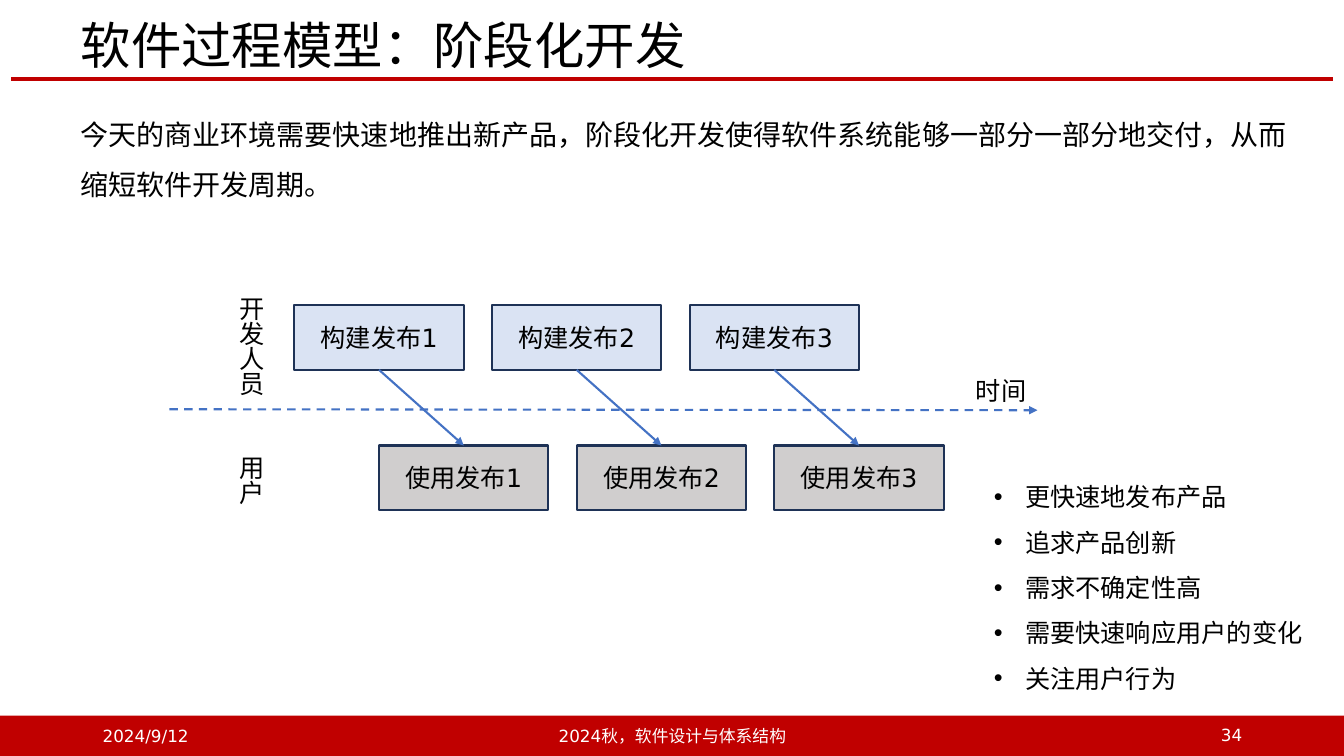
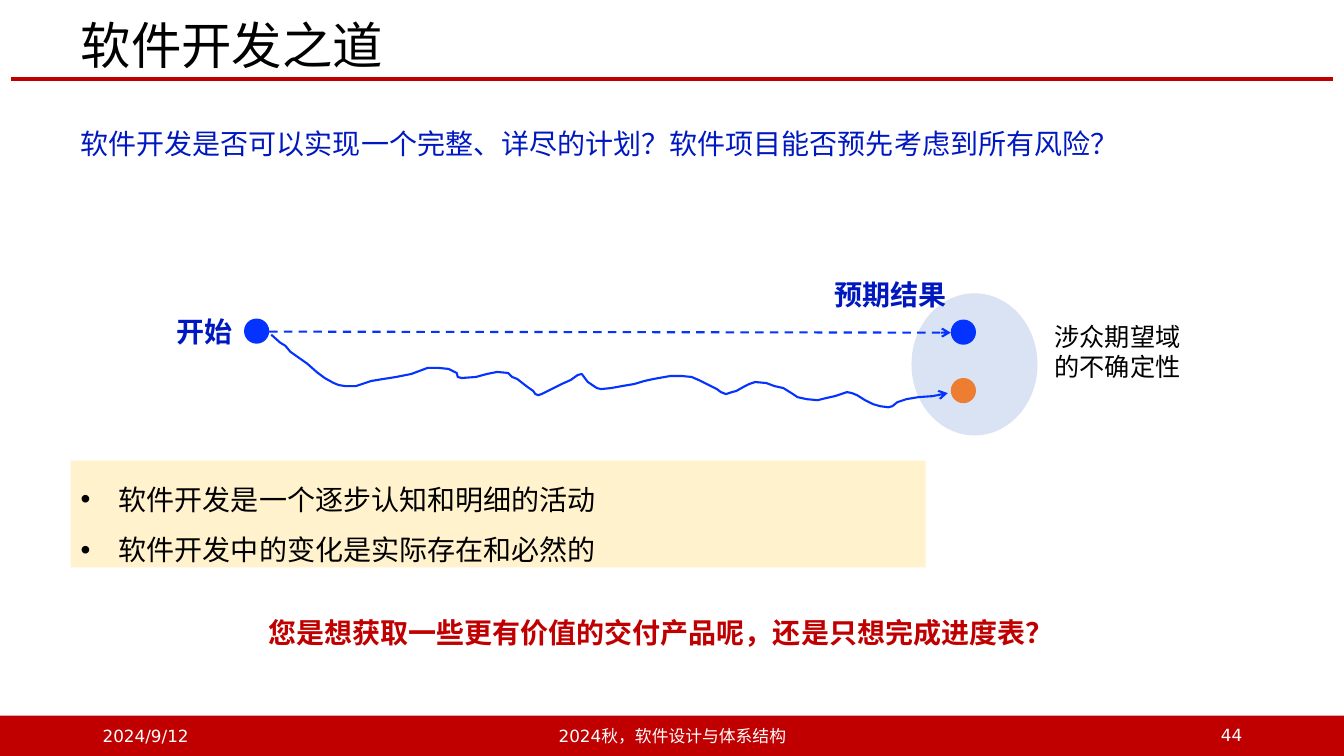
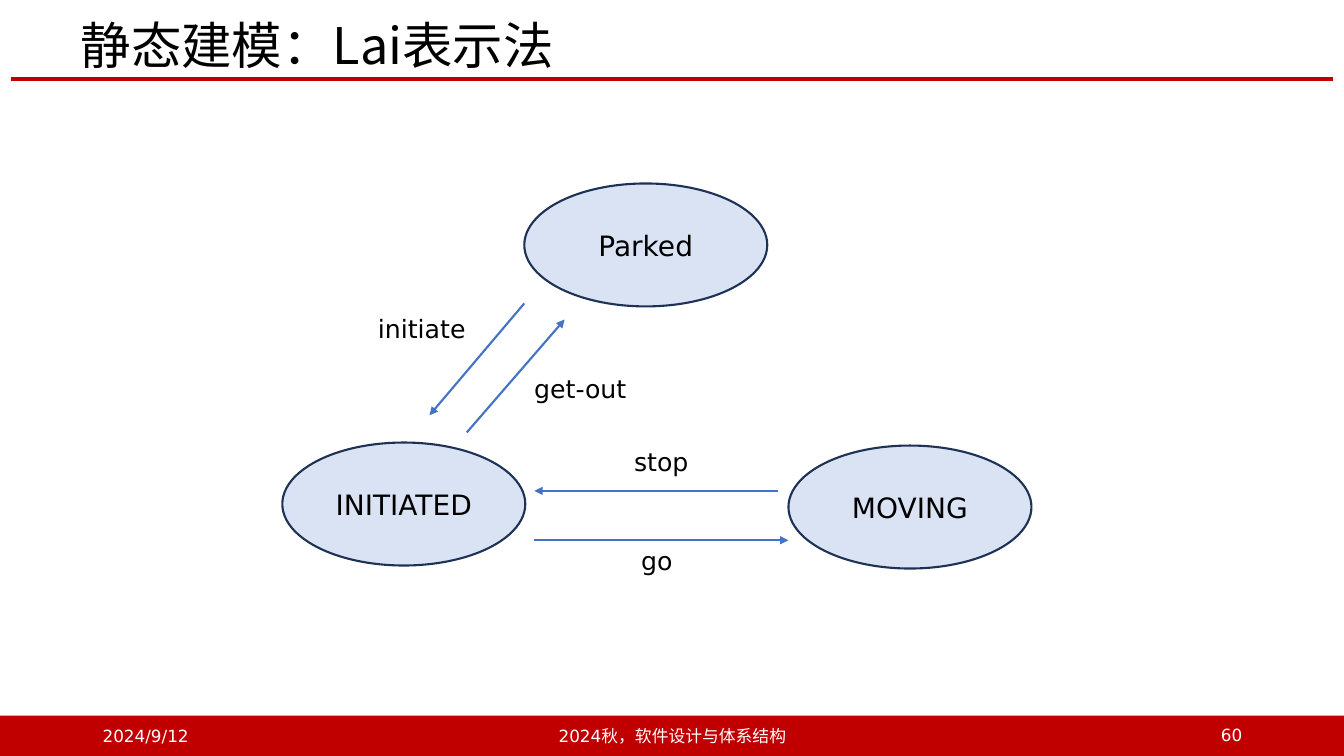
"""Build three slides on staged development, planning and state modelling."""
import pptx
import pptx.util
import pptx.dml.color
import pptx.enum.dml
import pptx.enum.shapes
import pptx.enum.text
import pptx.oxml
import pptx.oxml.ns
from lxml import etree

Inches = pptx.util.Inches
Pt = pptx.util.Pt
Align = pptx.enum.text.PP_ALIGN
Anchor = pptx.enum.text.MSO_ANCHOR
Shape = pptx.enum.shapes.MSO_SHAPE
Straight = pptx.enum.shapes.MSO_CONNECTOR.STRAIGHT

BLACK, WHITE, RED = "000000", "FFFFFF", "C00000"
PALE_BLUE, GREY, CREAM, ORANGE = "DAE3F3", "D0CECE", "FFF2CC", "ED7D31"
NAVY, ARROW_BLUE, TEXT_BLUE, PATH_BLUE = "1E3256", "4472C4", "0018C0", "0432FF"
SANS, ARIAL, CHINESE = "DejaVu Sans", "Arial", "Noto Sans CJK SC"

DATE, COURSE = "2024/9/12", "2024秋，软件设计与体系结构"

STAGE_INTRO = "今天的商业环境需要快速地推出新产品，阶段化开发使得软件系统能够一部分一部分地交付，从而缩短软件开发周期。"
STAGE_REASONS = ["更快速地发布产品", "追求产品创新", "需求不确定性高", "需要快速响应用户的变化", "关注用户行为"]
STAGE_ROLES = [("开发人员", 2.84, 1.11), ("用户", 4.42, 0.61)]
RELEASES = 3

PLAN_QUESTION = "软件开发是否可以实现一个完整、详尽的计划？软件项目能否预先考虑到所有风险？"
PLAN_FACTS = ["软件开发是一个逐步认知和明细的活动", "软件开发中的变化是实际存在和必然的"]
PLAN_CLOSING = "您是想获取一些更有价值的交付产品呢，还是只想完成进度表？"
PLAN_LABELS = [("开始", 1.65, 3.07, 0.76), ("预期结果", 8.18, 2.7, 1.32)]
PLAN_DOTS = [(2.42, 3.16, PATH_BLUE), (9.43, 3.17, PATH_BLUE), (9.43, 3.75, ORANGE)]
ACTUAL_PATH = [
    (2.69, 3.32), (2.78, 3.4), (2.83, 3.43), (2.88, 3.49), (3.05, 3.61), (3.14, 3.69),
    (3.22, 3.75), (3.31, 3.8), (3.36, 3.82), (3.42, 3.83), (3.53, 3.83), (3.62, 3.8),
    (3.68, 3.78), (3.8, 3.76), (3.93, 3.74), (4.08, 3.71), (4.16, 3.68), (4.24, 3.65),
    (4.35, 3.65), (4.45, 3.66), (4.53, 3.7), (4.54, 3.74), (4.58, 3.75), (4.72, 3.74),
    (4.83, 3.71), (4.93, 3.69), (5.04, 3.7), (5.08, 3.74), (5.13, 3.76), (5.22, 3.83),
    (5.29, 3.88), (5.31, 3.91), (5.34, 3.92), (5.37, 3.91), (5.47, 3.86), (5.57, 3.81),
    (5.66, 3.77), (5.73, 3.72), (5.77, 3.71), (5.83, 3.79), (5.89, 3.83), (5.92, 3.85),
    (5.96, 3.86), (6.06, 3.85), (6.17, 3.83), (6.29, 3.81), (6.39, 3.78), (6.48, 3.76),
    (6.65, 3.73), (6.76, 3.73), (6.86, 3.74), (6.93, 3.77), (7.03, 3.82), (7.11, 3.86),
    (7.15, 3.89), (7.2, 3.91), (7.26, 3.89), (7.3, 3.88), (7.39, 3.83), (7.43, 3.81),
    (7.49, 3.79), (7.6, 3.8), (7.68, 3.83), (7.77, 3.85), (7.85, 3.9), (7.91, 3.94),
    (8, 3.96), (8.11, 3.97), (8.19, 3.95), (8.28, 3.93), (8.4, 3.89), (8.45, 3.9),
    (8.5, 3.92), (8.58, 3.97), (8.66, 4.01), (8.73, 4.03), (8.81, 4.04), (8.85, 4.03),
    (8.9, 3.99), (8.99, 3.96), (9.11, 3.94), (9.25, 3.93), (9.4, 3.9),
]

STATE_SIZE = (2.41, 1.22)
STATES = [("Parked", 5.2, 1.82), ("INITIATED", 2.8, 4.39), ("MOVING", 7.82, 4.42)]
TRANSITIONS = [
    ("initiate", (3.65, 3.06, 1.07), (5.2, 3.01), (4.26, 4.12)),
    ("get-out", (5.2, 3.65, 1.13), (4.63, 4.29), (5.6, 3.17)),
    ("go", (6.26, 5.36, 0.51), (5.3, 5.36), (7.82, 5.36)),
    ("stop", (6.19, 4.38, 0.74), (7.72, 4.87), (5.3, 4.87)),
]


def rgb(color):
    return pptx.dml.color.RGBColor.from_string(color)


def add_child(parent, tag, **attributes):
    child = etree.SubElement(parent, pptx.oxml.ns.qn(tag))
    for name, value in attributes.items():
        child.set(name, value)


def write(shape, lines, size=18, font=SANS, color=BLACK, bold=False, align=Align.LEFT,
          anchor=Anchor.TOP, spacing=None, bullet=None, wrap=True):
    frame = shape.text_frame
    frame.word_wrap = wrap
    frame.auto_size = pptx.enum.text.MSO_AUTO_SIZE.NONE
    frame.vertical_anchor = anchor
    for index, line in enumerate(lines):
        para = frame.add_paragraph() if index else frame.paragraphs[0]
        para.alignment = align
        if spacing:
            para.line_spacing = spacing
        if bullet:
            properties = para._p.get_or_add_pPr()
            properties.set("marL", str(Inches(bullet)))
            properties.set("indent", str(-Inches(bullet)))
            add_child(properties, "a:buFont", typeface=ARIAL)
            add_child(properties, "a:buChar", char="•")
        span = para.add_run()
        span.text = line
        span.font.size = Pt(size)
        span.font.bold = bold
        span.font.color.rgb = rgb(color)
        span.font.name = font
        add_child(span._r.get_or_add_rPr(), "a:ea", typeface=CHINESE)


def add_text(slide, place, *lines, **style):
    box = slide.shapes.add_textbox(*map(Inches, place))
    write(box, lines, **style)
    return box


def add_box(slide, place, fill, kind=Shape.RECTANGLE, outline=None):
    box = slide.shapes.add_shape(kind, *map(Inches, place))
    box.shadow.inherit = False
    box.fill.solid()
    box.fill.fore_color.rgb = rgb(fill)
    if outline:
        box.line.color.rgb = rgb(outline)
        box.line.width = Pt(1.5)
    else:
        box.line.fill.background()
    return box


def add_node(slide, place, fill, label, kind=Shape.RECTANGLE, size=18):
    node = add_box(slide, place, fill, kind, NAVY)
    write(node, [label], size=size, align=Align.CENTER, anchor=Anchor.MIDDLE)
    return node


def style_line(line, color, width=1.5, head=None, dashed=False):
    line.color.rgb = rgb(color)
    line.width = Pt(width)
    if dashed:
        line.dash_style = pptx.enum.dml.MSO_LINE.DASH
    if head:
        add_child(line._get_or_add_ln(), "a:tailEnd", type=head)


def add_line(slide, start, end, color=ARROW_BLUE, **style):
    line = slide.shapes.add_connector(Straight, *map(Inches, (*start, *end)))
    style_line(line.line, color, **style)
    add_child(line._element.spPr, "a:effectLst")
    return line


def add_slide(deck, title, number):
    slide = deck.slides.add_slide(deck.slide_layouts[5])
    heading = slide.shapes.title
    heading.left, heading.top, heading.width, heading.height = map(Inches, (0.7, 0.18, 11.71, 0.6))
    write(heading, [title], size=36, font=CHINESE, anchor=Anchor.MIDDLE, spacing=0.9)
    add_line(slide, (0.11, 0.78), (13.22, 0.78), RED, width=3)
    add_box(slide, (0, 7.1, 13.33, 0.4), RED)
    footers = [(DATE, 0.92, 7.1, 3, Align.LEFT), (COURSE, 4.42, 7.1, 4.5, Align.CENTER),
               (str(number), 9.42, 7.09, 3, Align.RIGHT)]
    for text, left, top, width, align in footers:
        add_text(slide, (left, top, width, 0.4), text, size=12, color=WHITE,
                 align=align, anchor=Anchor.MIDDLE)
    return slide


def build_stages(deck):
    slide = add_slide(deck, "软件过程模型：阶段化开发", 34)
    add_text(slide, (0.7, 0.95, 12.23, 1.05), STAGE_INTRO, size=20, font=ARIAL, spacing=1.5)
    width, height, pitch = 1.68, 0.64, 1.96
    for index in range(RELEASES):
        left = 2.92 + index * pitch
        middle = left + width / 2
        build = add_node(slide, (left, 3.03, width, height), PALE_BLUE, f"构建发布{index + 1}")
        use = add_node(slide, (middle, 4.42, width, height), GREY, f"使用发布{index + 1}")
        arrow = add_line(slide, (middle, 3.67), (middle + width / 2, 4.42), head="triangle")
        arrow.begin_connect(build, 2)
        arrow.end_connect(use, 0)
    add_line(slide, (1.68, 4.06), (10.29, 4.07), head="triangle", dashed=True)
    add_text(slide, (9.58, 3.67, 0.71, 0.4), "时间", wrap=False)
    for role, top, length in STAGE_ROLES:
        box = add_text(slide, (2.19, top, 0.5, length), role, wrap=False)
        box.text_frame._txBody.bodyPr.set("vert", "eaVert")
    add_text(slide, (9.76, 4.58, 3.46, 2.33), *STAGE_REASONS, font=ARIAL, spacing=1.5, bullet=0.31)


def build_plan(deck):
    slide = add_slide(deck, "软件开发之道", 44)
    add_box(slide, (9.04, 2.91, 1.25, 1.41), PALE_BLUE, Shape.OVAL)
    add_text(slide, (0.7, 1.21, 11.71, 0.44), PLAN_QUESTION, size=20, font=ARIAL, color=TEXT_BLUE)
    facts = add_box(slide, (0.7, 4.57, 8.48, 1.06), CREAM)
    write(facts, PLAN_FACTS, size=20, font=ARIAL, spacing=1.5, bullet=0.38)
    for label, left, top, width in PLAN_LABELS:
        add_text(slide, (left, top, width, 0.44), label, size=20, font=ARIAL,
                 color=TEXT_BLUE, bold=True, wrap=False)
    add_line(slide, (2.67, 3.29), (9.43, 3.3), PATH_BLUE, head="arrow", dashed=True)
    for left, top, color in PLAN_DOTS:
        add_box(slide, (left, top, 0.25, 0.25), color, Shape.OVAL)
    points = [(Inches(x), Inches(y)) for x, y in ACTUAL_PATH]
    builder = slide.shapes.build_freeform(*points[0])
    builder.add_line_segments(points[1:], close=False)
    actual = builder.convert_to_shape()
    actual.shadow.inherit = False
    actual.fill.background()
    style_line(actual.line, PATH_BLUE, head="arrow")
    add_text(slide, (10.36, 3.14, 1.46, 0.71), "涉众期望域", "的不确定性", wrap=False)
    add_text(slide, (0.7, 6.06, 11.71, 0.44), PLAN_CLOSING, size=20, font=ARIAL,
             color=RED, bold=True, align=Align.CENTER)


def build_states(deck):
    slide = add_slide(deck, "静态建模：Lai表示法", 60)
    for name, left, top in STATES:
        add_node(slide, (left, top, *STATE_SIZE), PALE_BLUE, name, Shape.OVAL, 20)
    for label, place, start, end in TRANSITIONS:
        add_line(slide, start, end, head="triangle")
        add_text(slide, (*place, 0.4), label, wrap=False)


def main():
    deck = pptx.Presentation()
    deck.slide_width, deck.slide_height = Inches(13.33), Inches(7.5)
    build_stages(deck)
    build_plan(deck)
    build_states(deck)
    deck.save("out.pptx")


if __name__ == "__main__":
    main()
